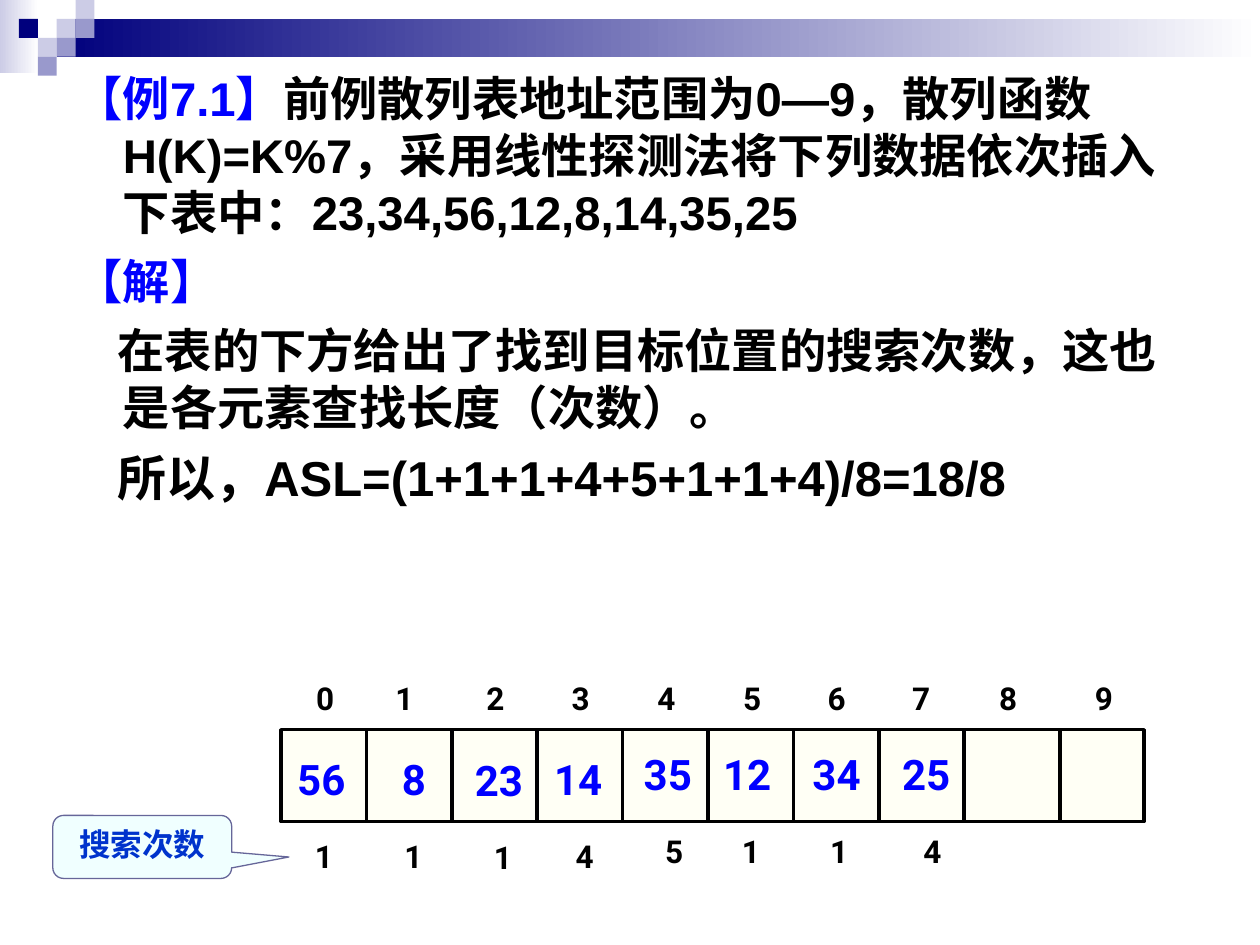
from dataclasses import dataclass

from lxml.etree import SubElement
from pptx import Presentation
from pptx.dml.color import RGBColor
from pptx.enum.shapes import MSO_CONNECTOR as Connector, MSO_SHAPE as Preset
from pptx.enum.text import MSO_ANCHOR as Anchor, MSO_AUTO_SIZE as AutoSize, PP_ALIGN as Align
from pptx.oxml.ns import qn
from pptx.util import Pt


@dataclass(frozen=True)
class Theme:
    black: str = "000000"
    blue: str = "0000FF"
    navy: str = "00007D"
    violet: str = "9999CC"
    lilac: str = "CCCCE6"
    white: str = "FFFFFF"
    cell_fill: str = "FFFFF5"
    note_fill: str = "F0FFFF"
    note_line: str = "666699"
    note_text: str = "0033CC"
    body_font: str = "Arial"
    digit_font: str = "Roboto"
    body_size: float = 27
    formula_size: float = 28
    value_size: float = 24
    label_size: float = 18


THEME = Theme()

# Each line: runs of (text, colour), size, first-line indent
BODY = [
    ([("【例7.1】", THEME.blue),
      ("前例散列表地址范围为0—9，散列函数H(K)=K%7，采用线性探测法将下列数据依次插入下表中：23,34,56,12,8,14,35,25",
       THEME.black)], THEME.body_size, -27),
    ([("【解】", THEME.blue)], THEME.body_size, -27),
    ([("在表的下方给出了找到目标位置的搜索次数，这也是各元素查找长度（次数）。", THEME.black)],
     THEME.body_size, -3),
    ([("所以，", THEME.black), ("ASL=(1+1+1+4+5+1+1+4)/8=18/8", THEME.black)],
     THEME.formula_size, -3),
]

# Offsets from the left of the hash table
INDEX_LEFTS = [13, 58.3, 110.2, 159, 208, 257, 305.3, 353.5, 403.2, 458]
# Each slot: value, its left and top, number of probes, its left
SLOTS = [
    ("56", 2.2, 10, "1", 12.2),
    ("8", 62, 10, "1", 63.4),
    ("23", 103.7, 10.8, "1", 114.5),
    ("14", 149, 10, "4", 161.3),
    ("35", 200.2, 7.2, "5", 212.4),
    ("12", 245.5, 7.2, "1", 256.3),
    ("34", 296.6, 7.2, "1", 306.7),
    ("25", 347.8, 7.2, "4", 360),
]


def rgb(value):
    return RGBColor.from_string(value)


def style(font, name, size, color=None):
    font.name, font.size, font.bold = name, Pt(size), True
    if color:
        font.color.rgb = rgb(color)


def add_filled(slide, preset, box, fill, line=None, line_width=0):
    """Add a preset shape; a pair of fill colours makes a left-to-right gradient."""
    shape = slide.shapes.add_shape(preset, *map(Pt, box))
    shape.shadow.inherit = False
    if isinstance(fill, tuple):
        shape.fill.gradient()
        shape.fill.gradient_angle = 0
        for stop, color, position in zip(shape.fill.gradient_stops, fill, (0, 1)):
            stop.color.rgb, stop.position = rgb(color), position
    else:
        shape.fill.solid()
        shape.fill.fore_color.rgb = rgb(fill)
    if line:
        shape.line.color.rgb, shape.line.width = rgb(line), Pt(line_width)
    else:
        shape.line.fill.background()
    return shape


def add_number(slide, text, left, top, size, color):
    width = 10 + len(text) * size * 0.6 + 4
    text_box = slide.shapes.add_textbox(Pt(left), Pt(top), Pt(width), Pt(size * 1.2 + 7.2))
    frame = text_box.text_frame
    frame.word_wrap = False
    paragraph = frame.paragraphs[0]
    paragraph.text = text
    style(paragraph.font, THEME.digit_font, size, color)


def add_header(slide, box):
    left, top, width, _ = box
    unit = 10.8
    add_filled(slide, Preset.RECTANGLE, (left, top, 22, 42), (THEME.lilac, THEME.white))
    add_filled(slide, Preset.RECTANGLE,
               (left + 3 * unit, top + unit, width - 3 * unit, 2 * unit),
               (THEME.navy, THEME.white))
    squares = [(3, 1, THEME.lilac), (4, 0, THEME.lilac), (4, 1, THEME.violet),
               (2, 2, THEME.lilac), (1, 1, THEME.navy), (3, 2, THEME.violet),
               (2, 3, THEME.violet)]
    for column, row, color in squares:
        add_filled(slide, Preset.RECTANGLE,
                   (left + column * unit, top + row * unit, unit, unit), color)


def fill_body(placeholder, box):
    placeholder.left, placeholder.top, placeholder.width, placeholder.height = map(Pt, box)
    frame = placeholder.text_frame
    frame.auto_size = AutoSize.NONE
    for number, (runs, size, indent) in enumerate(BODY):
        paragraph = frame.add_paragraph() if number else frame.paragraphs[0]
        properties = paragraph._p.get_or_add_pPr()
        properties.set("marL", str(Pt(27)))
        properties.set("indent", str(Pt(indent)))
        SubElement(properties, qn("a:buNone"))
        paragraph.line_spacing = Pt(size + 5.6)
        paragraph.space_before = Pt(size / 4 if number else 0)
        style(paragraph.font, THEME.body_font, size)
        for text, color in runs:
            run = paragraph.add_run()
            run.text = text
            run.font.color.rgb = rgb(color)


def add_hash_table(slide, box):
    left, top, _, height = box
    add_filled(slide, Preset.RECTANGLE, box, THEME.cell_fill, THEME.black, 2)
    pitch = 48.8
    for offset in [pitch * column for column in range(1, 9)] + [445]:
        x = Pt(left + offset)
        divider = slide.shapes.add_connector(
            Connector.STRAIGHT, x, Pt(top), x, Pt(top + height))
        divider.line.color.rgb, divider.line.width = rgb(THEME.black), Pt(2)
        SubElement(divider._element.spPr, qn("a:effectLst"))
    for index, offset in enumerate(INDEX_LEFTS):
        add_number(slide, str(index), left + offset, top - 32.4,
                   THEME.label_size, THEME.black)
    for value, value_left, value_top, probes, probes_left in SLOTS:
        add_number(slide, value, left + value_left, top + value_top,
                   THEME.value_size, THEME.blue)
        add_number(slide, probes, left + probes_left, top + value_top + 47.5,
                   THEME.label_size, THEME.black)


def add_probe_callout(slide, box):
    callout = add_filled(slide, Preset.ROUNDED_RECTANGULAR_CALLOUT, box,
                         THEME.note_fill, THEME.note_line, 0.75)
    for index, value in enumerate((0.82, 0.16, 0.17)):
        callout.adjustments[index] = value
    frame = callout.text_frame
    frame.vertical_anchor = Anchor.TOP
    paragraph = frame.paragraphs[0]
    paragraph.text = "搜索次数"
    paragraph.alignment = Align.CENTER
    style(paragraph.font, THEME.body_font, THEME.label_size, THEME.note_text)


def main():
    presentation = Presentation()
    presentation.slide_width, presentation.slide_height = Pt(720), Pt(540)
    slide = presentation.slides.add_slide(presentation.slide_layouts[1])
    title = slide.shapes.title._element
    title.getparent().remove(title)
    add_header(slide, (0, 0, 720, 43.2))
    fill_body(slide.placeholders[1], (36, 36, 648, 468))
    add_hash_table(slide, (160.6, 417, 493.2, 52.5))
    add_probe_callout(slide, (30.2, 466, 102.2, 36))
    presentation.save("out.pptx")


if __name__ == "__main__":
    main()
